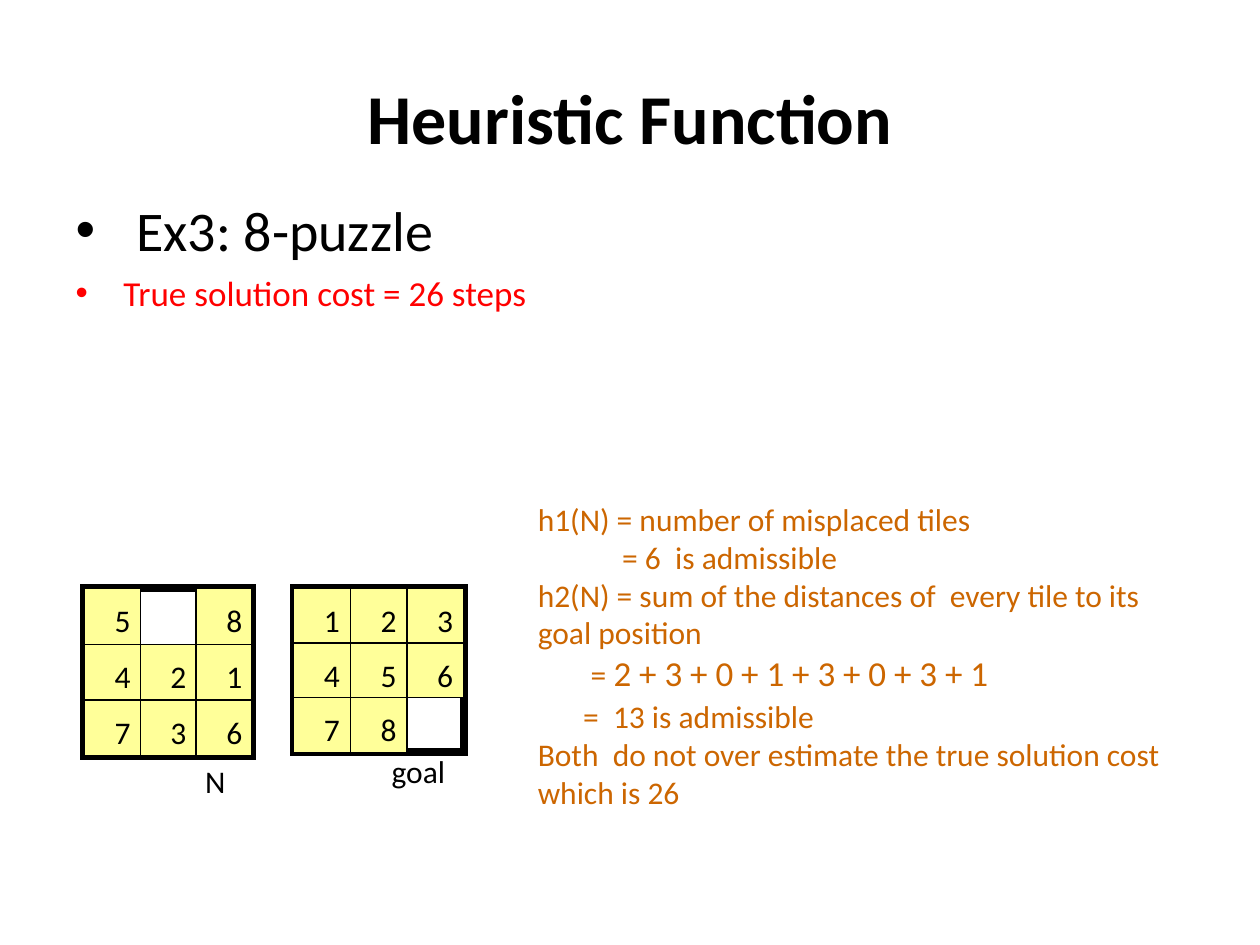
from pptx import Presentation
from pptx.dml.color import RGBColor
from pptx.enum.shapes import MSO_SHAPE
from pptx.enum.text import MSO_ANCHOR, MSO_AUTO_SIZE, PP_ALIGN
from pptx.oxml.ns import qn
from pptx.util import Inches, Pt
from lxml import etree

RECT = MSO_SHAPE.RECTANGLE
TOP, MIDDLE = MSO_ANCHOR.TOP, MSO_ANCHOR.MIDDLE
LEFT, CENTER = PP_ALIGN.LEFT, PP_ALIGN.CENTER
GROW = MSO_AUTO_SIZE.SHAPE_TO_FIT_TEXT
FONT = "Calibri"
COLORS = {"ink": "000000", "cost": "FF0000", "tile": "FFFF99", "notes": "CC6600"}


def color(name):
    return RGBColor.from_string(COLORS[name])


def set_font(item, size, name="ink", bold=None):
    item.font.name = FONT
    item.font.size = Pt(size)
    item.font.color.rgb = color(name)
    item.font.bold = bold


def place(shape, left, top, width, height):
    shape.left, shape.top = Inches(left), Inches(top)
    shape.width, shape.height = Inches(width), Inches(height)


def add_title(page, box):
    title = page.shapes.title
    place(title, *box)
    title.text_frame.text = "Heuristic Function"
    title.text_frame.vertical_anchor = MIDDLE
    para = title.text_frame.paragraphs[0]
    para.alignment = CENTER
    set_font(para, 40, bold=True)


def add_bullets(page, box):
    body = page.placeholders[1]
    place(body, *box)
    # text, level, size, colour, space before, hanging indent
    items = [
        ("Ex3: 8-puzzle", 0, 32, "ink", 8, 0.48),
        ("True solution cost = 26 steps", 1, 20, "cost", 5, 0.38),
    ]
    frame = body.text_frame
    for index, (text, level, size, name, before, indent) in enumerate(items):
        para = frame.add_paragraph() if index else frame.paragraphs[0]
        para.text = text
        para.level = level
        para.space_before = Pt(before)
        set_font(para, size, name)
        props = para._p.get_or_add_pPr()
        props.set("marL", str(Inches(indent)))
        props.set("indent", str(-Inches(indent)))
        bullet = etree.Element(qn("a:buChar"), char="•")
        props.find(qn("a:defRPr")).addprevious(bullet)


def add_rect(group, box, line_width, fill=None):
    rect = group.shapes.add_shape(RECT, *(Inches(length) for length in box))
    rect.shadow.inherit = False
    if fill:
        rect.fill.solid()
        rect.fill.fore_color.rgb = color(fill)
    else:
        rect.fill.background()
    rect.line.color.rgb = color("ink")
    rect.line.width = Pt(line_width)
    # Square corners
    outline = rect._element.spPr.find(qn("a:ln"))
    etree.SubElement(outline, qn("a:miter"), lim="800000")
    return rect


def add_puzzle(page, box, rows):
    """Frame with a 3 x 3 grid of numbered tiles; 0 marks the gap."""
    left, top, width, height = box
    tile_width, tile_height = width / 3, height / 3
    group = page.shapes.add_group_shape()
    add_rect(group, box, 4.5)
    for row, numbers in enumerate(rows):
        for column, number in enumerate(numbers):
            if not number:
                continue
            tile_box = (left + column * tile_width, top + row * tile_height,
                        tile_width, tile_height)
            tile = add_rect(group, tile_box, 0.75, "tile")
            frame = tile.text_frame
            frame.word_wrap = False
            frame.vertical_anchor = TOP
            frame.margin_left, frame.margin_top = Inches(0.24), Inches(0.1)
            frame.margin_right = frame.margin_bottom = 0
            para = frame.paragraphs[0]
            para.text = str(number)
            para.alignment = LEFT
            set_font(para, 18)


def add_caption(page, box, text):
    caption = page.shapes.add_textbox(*(Inches(length) for length in box))
    frame = caption.text_frame
    frame.word_wrap = False
    frame.auto_size = GROW
    frame.margin_right = 0
    para = frame.paragraphs[0]
    para.text = text
    para.alignment = LEFT
    set_font(para, 18)


def add_heuristics(page, box):
    notes = page.shapes.add_textbox(*(Inches(length) for length in box))
    frame = notes.text_frame
    frame.word_wrap = True
    # indent, space before, then spans of text and size
    lines = [
        (0, 0, [("h1(N) = number of misplaced tiles", 18)]),
        (0.67, 0, [("= 6  is admissible", 18)]),
        (0, 0, [("h2(N) = sum of the distances of  every tile to its goal position", 18)]),
        (0.42, 0, [("= ", 18), ("2 + 3 + 0 + 1 + 3 + 0 + 3 + 1", 20)]),
        (0.36, 2.3, [("=  13 is admissible", 18)]),
        (0, 0, [("Both  do not over estimate the true solution cost which is 26", 18)]),
    ]
    for index, (indent, before, spans) in enumerate(lines):
        para = frame.add_paragraph() if index else frame.paragraphs[0]
        para.space_before = Pt(before)
        para._p.get_or_add_pPr().set("marL", str(Inches(indent)))
        for text, size in spans:
            span = para.add_run()
            span.text = text
            set_font(span, size, "notes")


def main():
    deck = Presentation()
    deck.slide_width, deck.slide_height = Inches(10), Inches(7.5)
    page = deck.slides.add_slide(deck.slide_layouts[1])  # title and content

    add_title(page, (0.5, 0.3, 9, 1.25))
    add_bullets(page, (0.5, 1.5, 9, 5.2))

    # Goal state and start state
    add_puzzle(page, (2.33, 4.67, 1.35, 1.3), [(1, 2, 3), (4, 5, 6), (7, 8, 0)])
    add_puzzle(page, (0.67, 4.67, 1.33, 1.33), [(5, 0, 8), (4, 2, 1), (7, 3, 6)])
    add_caption(page, (1.53, 6, 0.36, 0.4), "N")
    add_caption(page, (3.01, 5.92, 0.62, 0.4), "goal")

    add_heuristics(page, (4.17, 3.92, 5.17, 2.57))
    deck.save("out.pptx")


if __name__ == "__main__":
    main()
